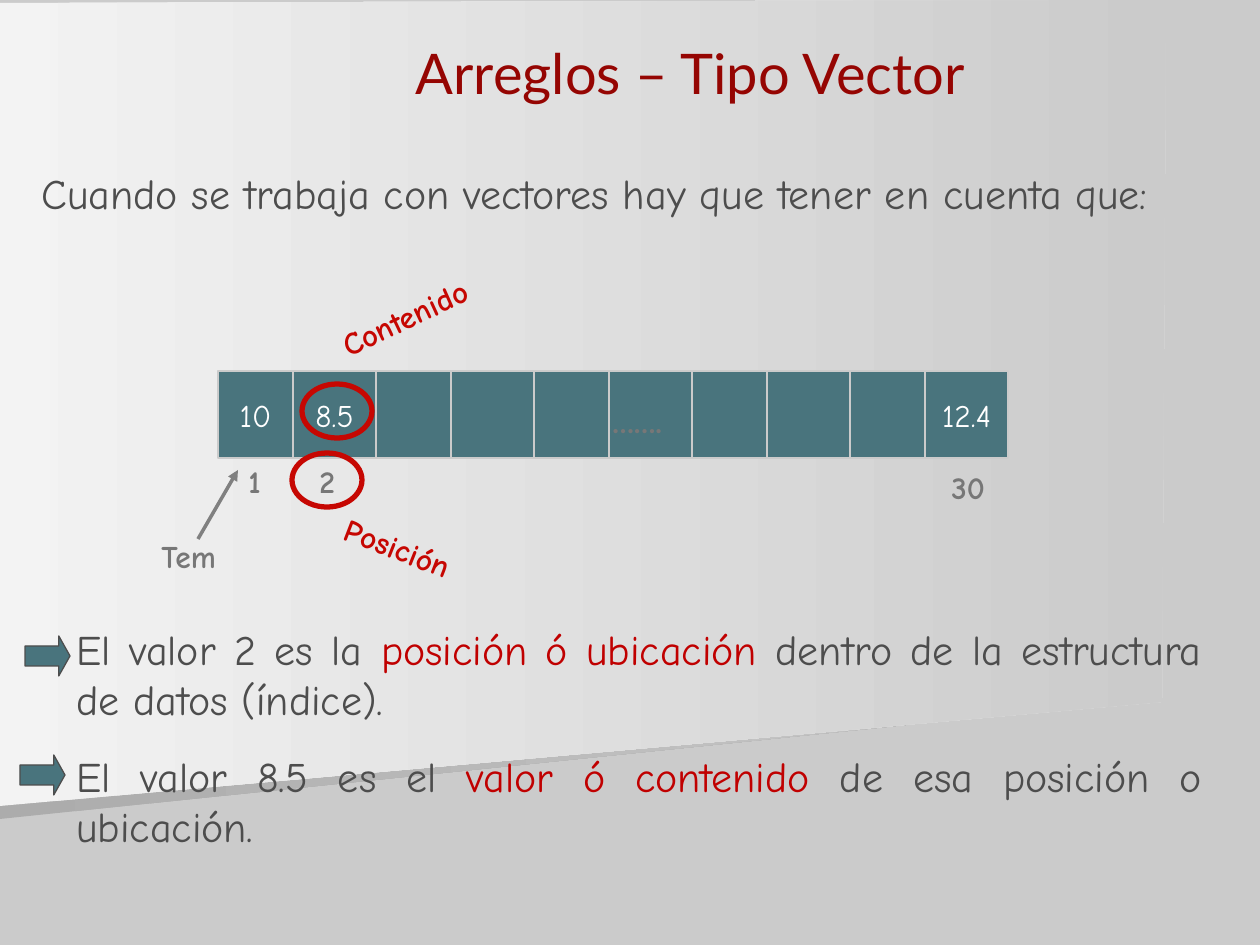
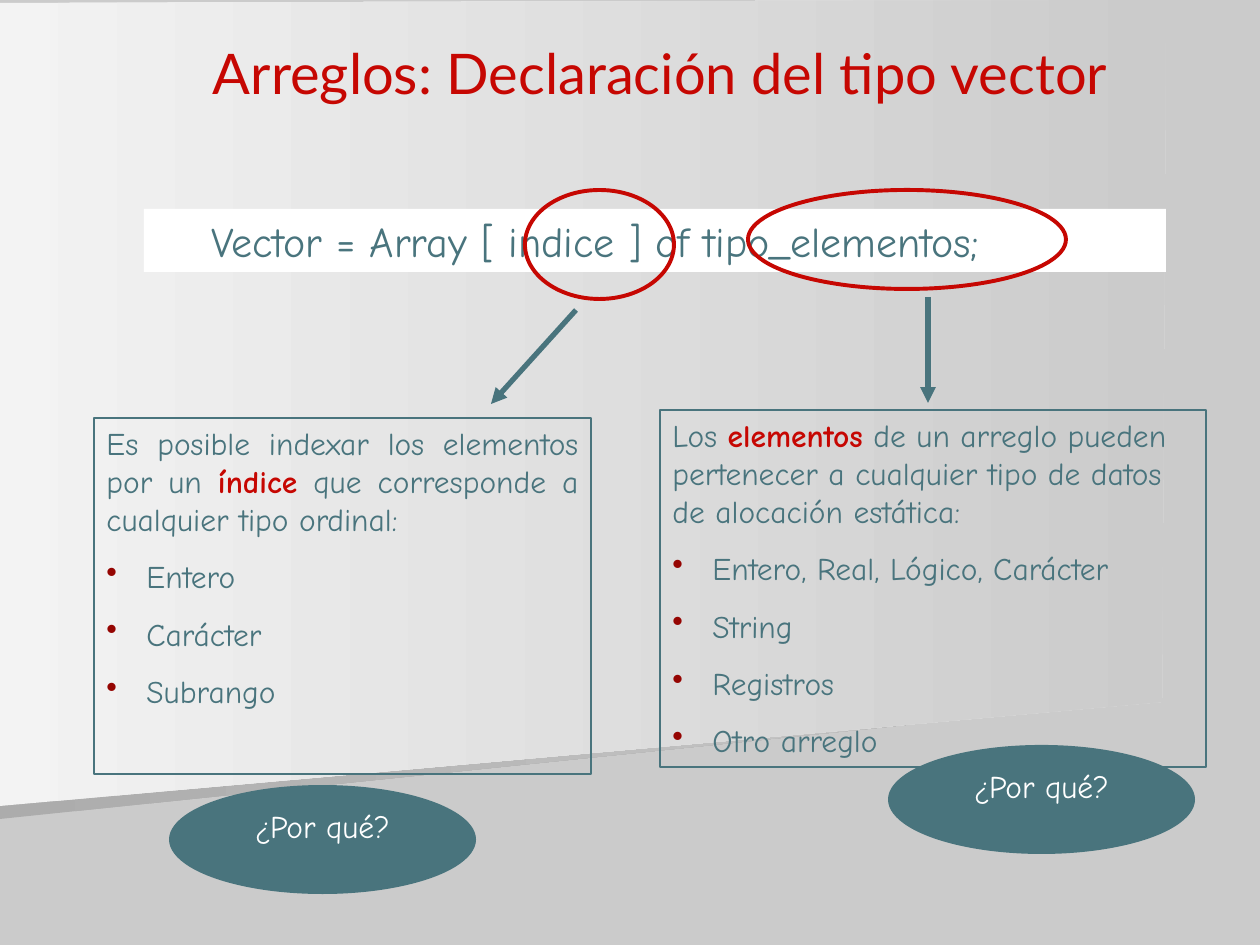
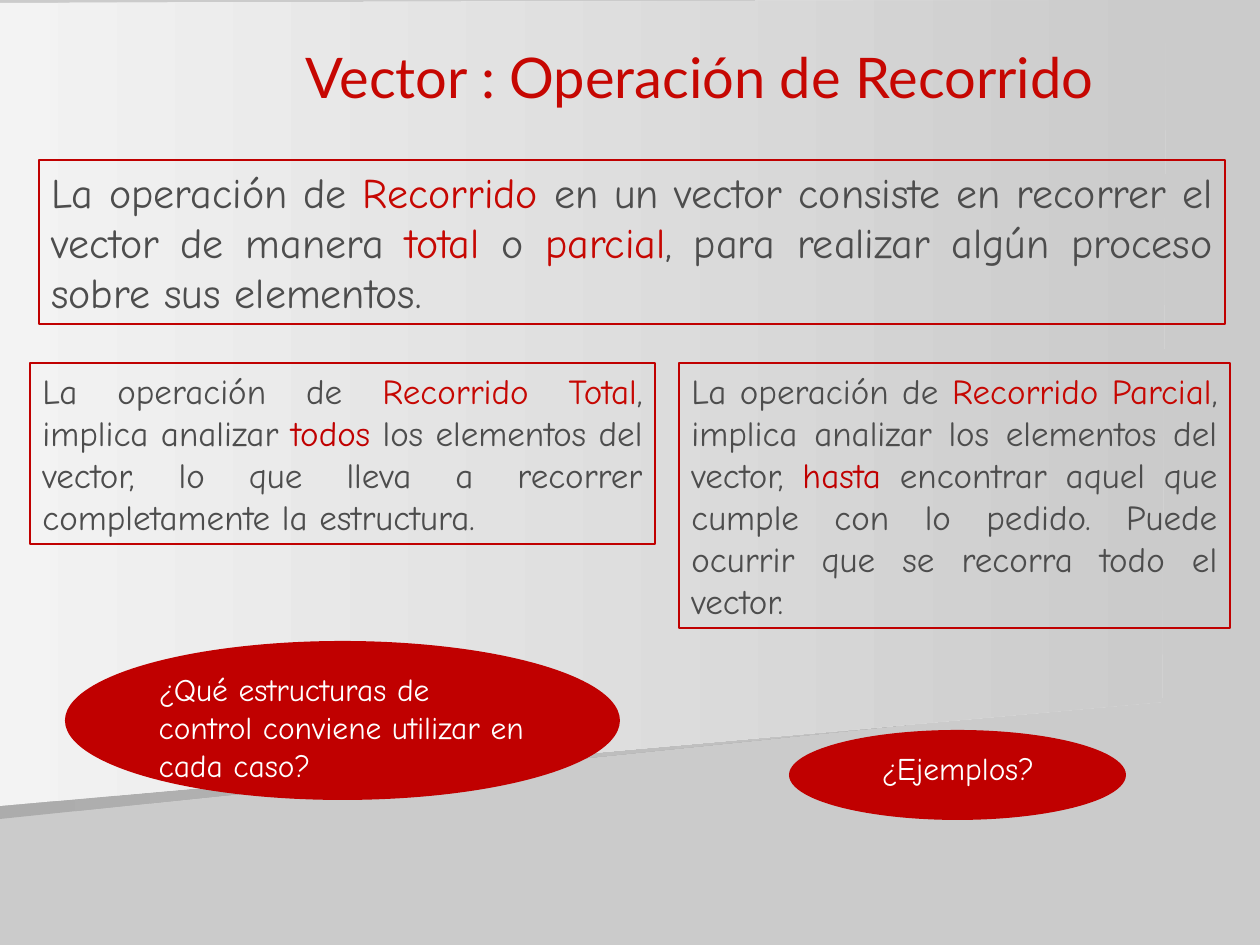
from collections import namedtuple

from lxml import etree
from pptx import Presentation
from pptx.dml.color import RGBColor
from pptx.enum.shapes import MSO_CONNECTOR, MSO_SHAPE
from pptx.enum.text import MSO_ANCHOR, PP_ALIGN
from pptx.oxml.ns import qn
from pptx.util import Pt

PX = 914400 / 126
WIDTH, HEIGHT = 1260, 945

RECT, OVAL, ARROW = MSO_SHAPE.RECTANGLE, MSO_SHAPE.OVAL, MSO_SHAPE.RIGHT_ARROW
STRAIGHT = MSO_CONNECTOR.STRAIGHT
LEFT, CENTER, JUSTIFY = PP_ALIGN.LEFT, PP_ALIGN.CENTER, PP_ALIGN.JUSTIFY
TOP, MIDDLE, BOTTOM = MSO_ANCHOR.TOP, MSO_ANCHOR.MIDDLE, MSO_ANCHOR.BOTTOM

GRAY = RGBColor(0xCB, 0xCB, 0xCB)
PALE = RGBColor(0xF3, 0xF3, 0xF3)
SHADE = RGBColor(0xAC, 0xAC, 0xAC)
WHITE = RGBColor(0xFF, 0xFF, 0xFF)
TEAL = RGBColor(0x49, 0x74, 0x7D)
INK = RGBColor(0x4D, 0x4D, 0x4D)
LABEL = RGBColor(0x77, 0x77, 0x77)
STEM = RGBColor(0x80, 0x80, 0x80)
MAROON = RGBColor(0x95, 0x05, 0x02)
RED = RGBColor(0xC6, 0x07, 0x02)
CRIMSON = RGBColor(0xC0, 0x00, 0x00)

BODY_FONT, TITLE_FONT = "Comic Neue", "Lato"

# Shared background bands: start colour and outline
BANDS = [
    (SHADE, [(1128, 702), (0, 819), (0, 588), (1128, 315)]),
    (PALE, [(1162, 702), (0, 806), (0, 3), (1166, 0)]),
]

Box = namedtuple("Box", "x y w h")


def px(length):
    return round(length * PX)


def within(box, x, y, w, h):
    return Box(box.x + x, box.y + y, w, h)


def style(color, size, bold=False, name=BODY_FONT):
    return {"color": color, "size": size, "bold": bold, "name": name}


def format_span(span, values):
    for key, value in values.items():
        if key == "color":
            span.font.color.rgb = value
        else:
            setattr(span.font, key, Pt(value) if key == "size" else value)


def add_bullet(para, color):
    props = para._p.get_or_add_pPr()
    tint = etree.SubElement(props, qn("a:buClr"))
    etree.SubElement(tint, qn("a:srgbClr")).set("val", str(color))
    etree.SubElement(props, qn("a:buChar")).set("char", "•")


def indent(para, margin, first=0):
    props = para._p.get_or_add_pPr()
    props.set("marL", str(px(margin)))
    props.set("indent", str(px(first)))


def write(shape, paras, base, align=LEFT, anchor=TOP, gap=0, margin=0,
          bullets=False, wrap=True):
    """Each paragraph is a list of spans: text, or (text, changed values)."""
    frame = shape.text_frame
    frame.word_wrap, frame.vertical_anchor = wrap, anchor
    for number, spans in enumerate(paras):
        para = frame.paragraphs[0] if number == 0 else frame.add_paragraph()
        para.alignment = align
        if margin:
            indent(para, margin)
        if number:
            para.space_before = Pt(gap)
            if bullets:
                indent(para, 40, -40)
                add_bullet(para, MAROON)
        for part in spans:
            text, changes = (part, {}) if isinstance(part, str) else part
            span = para.add_run()
            span.text = text
            format_span(span, {**base, **changes})


def add_text(page, box, paras, base, rotation=0, **layout):
    shape = page.shapes.add_textbox(*map(px, box))
    shape.rotation = rotation
    write(shape, paras, base, **layout)


def paint(shape, fill=None, line=None, weight=0.75):
    shape.shadow.inherit = False
    if fill is None:
        shape.fill.background()
    else:
        shape.fill.solid()
        shape.fill.fore_color.rgb = fill
    if line is None:
        shape.line.fill.background()
    else:
        shape.line.color.rgb = line
        shape.line.width = Pt(weight)


def add_figure(page, kind, box, fill=None, line=None, weight=0.75):
    shape = page.shapes.add_shape(kind, *map(px, box))
    paint(shape, fill, line, weight)
    return shape


def add_arrow(page, start, end, color, weight):
    arrow = page.shapes.add_connector(STRAIGHT, *map(px, start + end))
    arrow.line.color.rgb = color
    arrow.line.width = Pt(weight)
    props = arrow._element.spPr
    etree.SubElement(props.find(qn("a:ln")), qn("a:tailEnd")).set("type", "triangle")
    etree.SubElement(props, qn("a:effectLst"))


def new_page(deck, title, box, color):
    page = deck.slides.add_slide(deck.slide_layouts[6])
    for tone, (start, *points) in BANDS:
        builder = page.shapes.build_freeform(*start, scale=PX)
        builder.add_line_segments(points)
        band = builder.convert_to_shape()
        paint(band)
        band.fill.gradient()
        band.fill.gradient_angle = 0
        for stop, shade in zip(band.fill.gradient_stops, (tone, GRAY)):
            stop.color.rgb = shade
    add_text(page, box, [[title]], style(color, 32, name=TITLE_FONT),
             align=CENTER, anchor=BOTTOM)
    return page


# Slide 1: vector diagram and its reading
def vector_diagram(page, box):
    contents = ["10", "8.5"] + [""] * 7 + ["12.4"]
    narrow, wide = 75, 83
    for index, content in enumerate(contents):
        pair, odd = divmod(index, 2)
        place = within(box, pair * (narrow + wide) + odd * narrow, 0,
                       wide if odd else narrow, box.h)
        cell = add_figure(page, RECT, place, TEAL, GRAY)
        if content:
            write(cell, [[content]], style(WHITE, 18), align=CENTER,
                  anchor=MIDDLE, wrap=False)

    label = style(LABEL, 18, True)
    for text, x, y, w in [("Tem", -69, 160, 159), ("1", 18, 85, 38),
                          ("2", 89, 85, 38), ("30", 721, 91, 73)]:
        add_text(page, within(box, x, y, w, 50), [[text]], label)
    add_text(page, within(box, 382, 28, 107, 47), [["……."]],
             style(LABEL, 16, True, TITLE_FONT))
    add_arrow(page, (box.x - 20, box.y + 168), (box.x + 20, box.y + 99), STEM, 2)

    # Rings and tilted captions
    for text, ring, caption, angle in [
            ("Posición", (74, 82), (110, 162), 21.1),
            ("Contenido", (84, 13), (105, -86), 334.6)]:
        add_figure(page, OVAL, within(box, *ring, 70, 54), line=RED, weight=3)
        add_text(page, within(box, *caption, 194, 50), [[text]],
                 style(RED, 18, True), rotation=angle)


def vector_reading(page, box):
    accent = {"color": CRIMSON}
    add_text(page, within(box, 44, 0, box.w - 44, box.h), [
        ["El valor 2 es la ", ("posición ó ubicación ", accent),
         "dentro de la estructura de datos (índice)."],
        ["El valor 8.5 es el ", ("valor ó contenido ", accent),
         "de esa posición o ubicación."],
    ], style(INK, 24), align=JUSTIFY, gap=15)
    for x, y in [(0, 138), (5, 19)]:
        arrow = add_figure(page, ARROW, within(box, x, y, 45, 40), TEAL, INK)
        arrow.adjustments[1] = 0.28


def vector_slide(deck):
    page = new_page(deck, "Arreglos – Tipo Vector", Box(223, 0, 935, 112), MAROON)
    add_text(page, Box(15, 161, 1226, 63),
             [["Cuando se trabaja con vectores hay que tener en cuenta que:"]],
             style(INK, 24), align=JUSTIFY, margin=14)
    vector_diagram(page, Box(218, 371, 790, 87))
    vector_reading(page, Box(20, 617, 1194, 241))


# Slide 2: declaration with two explained parts
def explained_part(page, box, ring, start, end, intro, items, align):
    frame = add_figure(page, RECT, box, line=TEAL)
    write(frame, [intro] + [[item] for item in items], style(TEAL, 18),
          align=align, gap=11.2, bullets=True)
    add_figure(page, OVAL, within(box, *ring), line=RED, weight=2.25)
    add_arrow(page, (box.x + start[0], box.y + start[1]),
              (box.x + end[0], box.y + end[1]), TEAL, 3)


def bubble(page, box, text, fill, align=CENTER, margin=0):
    shape = add_figure(page, OVAL, box, fill)
    write(shape, [[text]], style(WHITE, 18), align=align, margin=margin)


def declaration_slide(deck):
    page = new_page(deck, "Arreglos: Declaración del tipo vector",
                    Box(193, 0, 935, 112), RED)
    band = add_figure(page, RECT, Box(144, 209, 1022, 63), WHITE)
    write(band, [["Vector = Array [ indice ] of tipo_elementos;"]],
          style(TEAL, 24), margin=55)
    accent = {"color": RED, "bold": True}
    explained_part(
        page, Box(94, 418, 497, 356), (431, -228, 149, 109),
        (482, -108), (397, -14),
        ["Es posible indexar los elementos por un ", ("índice", accent),
         " que corresponde a cualquier tipo ordinal:"],
        ["Entero", "Carácter", "Subrango"], JUSTIFY)
    explained_part(
        page, Box(660, 410, 546, 357), (88, -220, 318, 99),
        (268, -113), (268, -7),
        ["Los ", ("elementos", accent),
         " de un arreglo pueden pertenecer a cualquier tipo de datos"
         " de alocación estática:"],
        ["Entero, Real, Lógico, Carácter", "String", "Registros", "Otro arreglo"],
        LEFT)
    for x, y in [(169, 785), (888, 745)]:
        bubble(page, Box(x, y, 307, 109), "¿Por qué?", TEAL)


# Slide 3: traversal definitions and questions
def traversal_slide(deck):
    page = new_page(deck, "Vector : Operación de Recorrido",
                    Box(184, 0, 1032, 116), RED)
    red, crimson = {"color": RED}, {"color": CRIMSON}
    definitions = [
        (Box(39, 160, 1186, 164), 24,
         ["La operación de ", ("Recorrido", red),
          " en un vector consiste en recorrer el vector de manera ",
          ("total", red), " o ", ("parcial", red),
          ", para realizar algún proceso sobre sus elementos."]),
        (Box(30, 363, 625, 181), 20,
         ["La operación de ", ("Recorrido Total", red), ", implica analizar ",
          ("todos", crimson), " los elementos del vector, lo que lleva a"
          " recorrer completamente la estructura."]),
        (Box(679, 363, 551, 265), 20,
         ["La operación de ", ("Recorrido Parcial", red),
          ", implica analizar los elementos del vector, ", ("hasta", crimson),
          " encontrar aquel que cumple con lo pedido. Puede ocurrir que se"
          " recorra todo el vector."]),
    ]
    for box, size, spans in definitions:
        frame = add_figure(page, RECT, box, line=CRIMSON)
        write(frame, [spans], style(INK, size), align=JUSTIFY)
    bubble(page, Box(65, 641, 555, 159),
           "¿Qué estructuras de control conviene utilizar en cada caso?",
           CRIMSON, LEFT)
    bubble(page, Box(789, 730, 337, 90), "¿Ejemplos?", CRIMSON, LEFT, margin=31)


def main():
    deck = Presentation()
    deck.slide_width, deck.slide_height = px(WIDTH), px(HEIGHT)
    backdrop = deck.slide_master.background.fill
    backdrop.solid()
    backdrop.fore_color.rgb = GRAY
    for build in (vector_slide, declaration_slide, traversal_slide):
        build(deck)
    deck.save("out.pptx")


if __name__ == "__main__":
    main()
